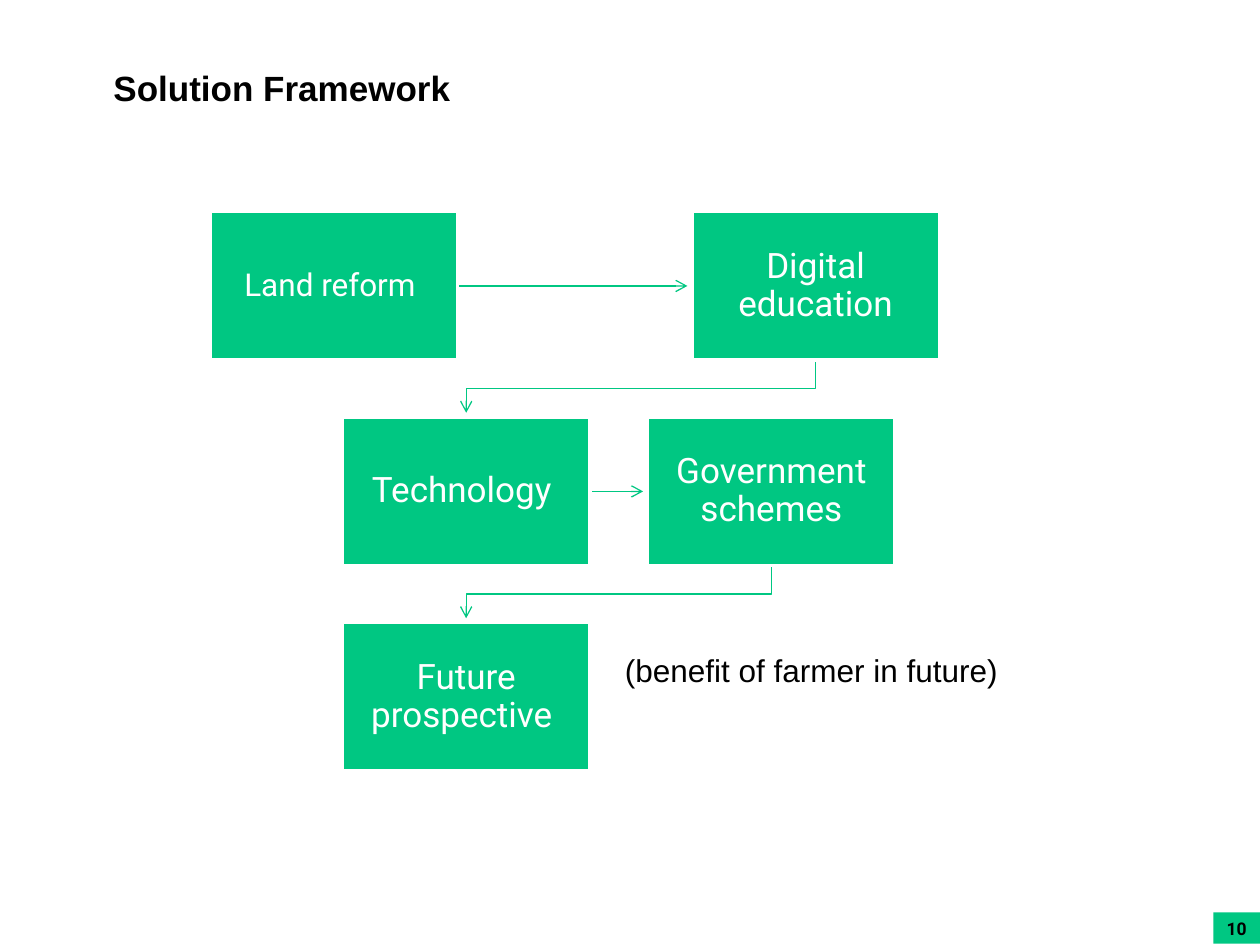
from dataclasses import dataclass

from lxml import etree
from pptx import Presentation
from pptx.dml.color import RGBColor
from pptx.enum.shapes import MSO_CONNECTOR, MSO_SHAPE
from pptx.enum.text import MSO_ANCHOR, PP_ALIGN
from pptx.oxml.ns import qn
from pptx.util import Pt

RECTANGLE = MSO_SHAPE.RECTANGLE
STRAIGHT = MSO_CONNECTOR.STRAIGHT
LEFT, CENTER = PP_ALIGN.LEFT, PP_ALIGN.CENTER
TOP, MIDDLE = MSO_ANCHOR.TOP, MSO_ANCHOR.MIDDLE


@dataclass(frozen=True)
class Theme:
    """Colours, fonts and sizes of the deck."""
    green: RGBColor = RGBColor(0x00, 0xC7, 0x82)
    white: RGBColor = RGBColor(0xFF, 0xFF, 0xFF)
    black: RGBColor = RGBColor(0x00, 0x00, 0x00)
    heading_font: str = "Arial"
    card_font: str = "Roboto"
    large: int = 20
    medium: int = 18
    small: int = 10


THEME = Theme()
CARD_WIDTH, CARD_HEIGHT = 141.6, 84.8
FIRST_ROW, ROW_PITCH = 121, 117.4
ARROW_GAP = 2.5
CARDS = [
    ("Land reform ", 120, 0, THEME.medium, 10),
    ("Digital education", 395.3, 0, THEME.large, 11.2),
    ("Technology ", 195.6, 1, THEME.large, 11.2),
    ("Government schemes", 370, 1, THEME.large, 11.2),
    ("Future prospective ", 195.6, 2, THEME.large, 11.2),
]


def write_text(shape, text, *, size, font, color, bold=False, align=LEFT,
               anchor=MIDDLE, inset=3.6, spacing=1.0):
    """Put one formatted paragraph into a shape."""
    frame = shape.text_frame
    frame.word_wrap = True
    frame.vertical_anchor = anchor
    frame.margin_left = frame.margin_right = Pt(inset)
    frame.margin_top = frame.margin_bottom = Pt(inset)
    para = frame.paragraphs[0]
    para.alignment = align
    para.line_spacing = spacing
    span = para.add_run()
    span.text = text
    span.font.size = Pt(size)
    span.font.name = font
    span.font.bold = bold
    span.font.color.rgb = color


def add_title(page, text):
    """Fill and place the title placeholder."""
    title = page.shapes.title
    title.left, title.top, title.width, title.height = map(Pt, (61.2, 12.2, 635, 78.5))
    write_text(title, text, size=THEME.large, font=THEME.heading_font,
               color=THEME.black, bold=True, spacing=0.9)


def add_box(page, left, top, width, height):
    """Add a flat green rectangle."""
    box = page.shapes.add_shape(RECTANGLE, *map(Pt, (left, top, width, height)))
    box.shadow.inherit = False
    box.fill.solid()
    box.fill.fore_color.rgb = THEME.green
    box.line.fill.background()
    return box


def add_card(page, text, left, row, size, inset):
    """Add one labelled step of the framework."""
    card = add_box(page, left, FIRST_ROW + row * ROW_PITCH, CARD_WIDTH, CARD_HEIGHT)
    card.line.color.rgb = THEME.white
    card.line.width = Pt(2)
    write_text(card, text, size=size, font=THEME.card_font, color=THEME.white,
               align=CENTER, inset=inset, spacing=0.9)


def style_arrow(arrow):
    """Give a line its colour, width and open arrowhead."""
    arrow.line.color.rgb = THEME.green
    arrow.line.width = Pt(0.75)
    properties = arrow._element.spPr
    etree.SubElement(properties.find(qn("a:ln")), qn("a:tailEnd"), type="arrow")
    if properties.find(qn("a:effectLst")) is None:
        etree.SubElement(properties, qn("a:effectLst"))


def add_side_arrow(page, start, end, row):
    """Join two cards of the same row."""
    middle = FIRST_ROW + row * ROW_PITCH + CARD_HEIGHT / 2
    points = (start + CARD_WIDTH, middle, end - ARROW_GAP, middle)
    style_arrow(page.shapes.add_connector(STRAIGHT, *map(Pt, points)))


def add_step_arrow(page, start, end, row):
    """Join a card to one in the next row with two bends."""
    top = FIRST_ROW + row * ROW_PITCH + CARD_HEIGHT
    bottom = FIRST_ROW + (row + 1) * ROW_PITCH
    bend = (top + bottom) / 2
    right, left = start + CARD_WIDTH / 2, end + CARD_WIDTH / 2
    corners = [(right, bend), (left, bend), (left, bottom - ARROW_GAP)]
    builder = page.shapes.build_freeform(Pt(right), Pt(top))
    builder.add_line_segments([(Pt(x), Pt(y)) for x, y in corners], close=False)
    arrow = builder.convert_to_shape()
    arrow.shadow.inherit = False
    arrow.fill.background()
    style_arrow(arrow)


def add_note(page, text):
    """Add the remark beside the last card."""
    note = page.shapes.add_textbox(*map(Pt, (353.5, 368.6, 255.6, 28.8)))
    write_text(note, text, size=THEME.medium, font=THEME.heading_font,
               color=THEME.black, anchor=TOP)


def add_page_number(page, text):
    """Add the numbered tab in the corner."""
    tab = add_box(page, 693.4, 521.3, 26.6, 18)
    write_text(tab, text, size=THEME.small, font=THEME.card_font,
               color=THEME.black, bold=True, align=CENTER)


def main():
    """Build and save the deck."""
    deck = Presentation()
    deck.slide_width, deck.slide_height = Pt(720), Pt(540)
    page = deck.slides.add_slide(deck.slide_layouts[5])
    add_title(page, "Solution Framework")
    add_page_number(page, "10")
    for (_, start, row, *_), (_, end, next_row, *_) in zip(CARDS, CARDS[1:]):
        add_arrow = add_side_arrow if row == next_row else add_step_arrow
        add_arrow(page, start, end, row)
    for card in CARDS:
        add_card(page, *card)
    add_note(page, "(benefit of farmer in future)")
    deck.save("out.pptx")


if __name__ == "__main__":
    main()
